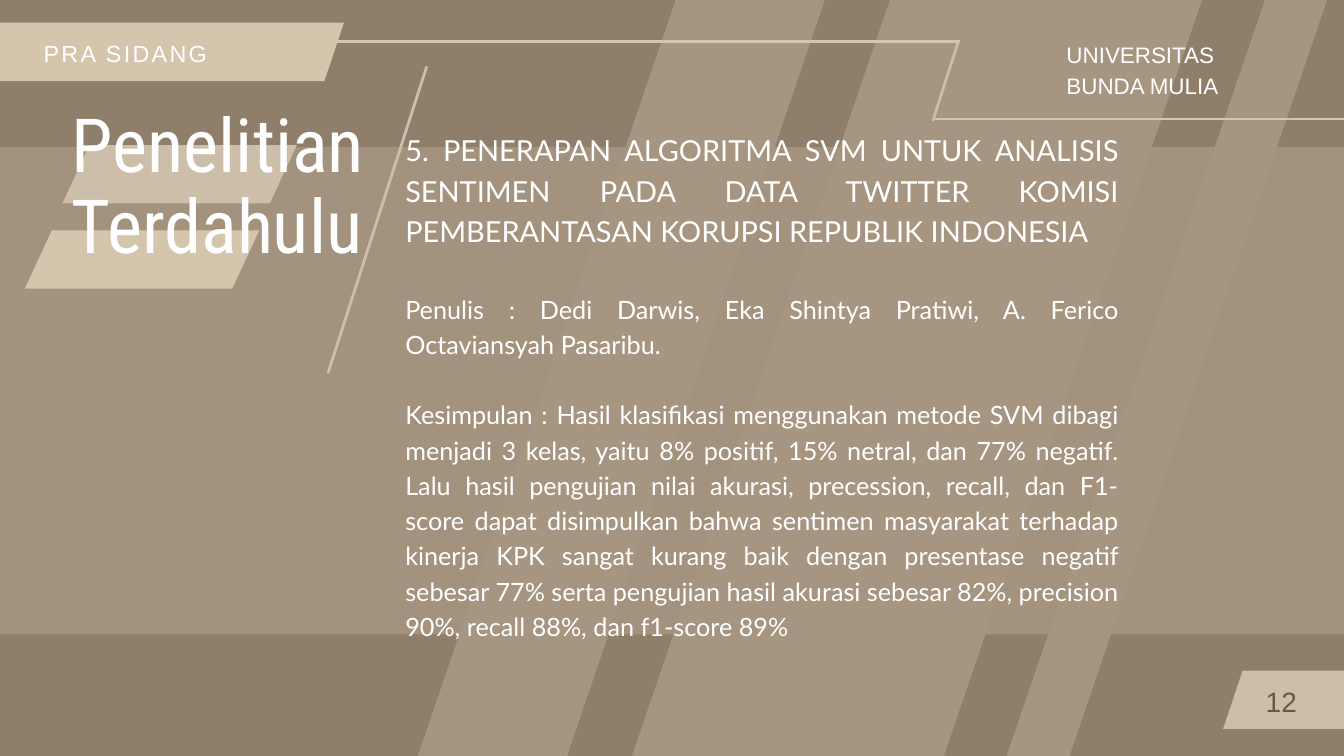
"""Build the slide on earlier research into SVM sentiment analysis."""
from lxml import etree
from pptx import Presentation
from pptx.dml.color import RGBColor
from pptx.enum.shapes import MSO_CONNECTOR
from pptx.enum.text import MSO_AUTO_SIZE, PP_ALIGN
from pptx.oxml.ns import qn
from pptx.util import Cm, Pt

STRAIGHT = MSO_CONNECTOR.STRAIGHT
NO_AUTOFIT = MSO_AUTO_SIZE.NONE
LEFT, RIGHT, JUSTIFY = PP_ALIGN.LEFT, PP_ALIGN.RIGHT, PP_ALIGN.JUSTIFY
WHITE, SAND, CREAM, TAUPE = "FFFFFF", "CDBEAA", "D5C5AC", "A69580"


def paint(color_format, hex_color):
    color_format.rgb = RGBColor.from_string(hex_color)


def add_text(left, top, width, height, font_name, hex_color, align, paragraphs):
    box = page.shapes.add_textbox(Cm(left), Cm(top), Cm(width), Cm(height))
    frame = box.text_frame
    frame.word_wrap = True
    frame.auto_size = NO_AUTOFIT
    frame.margin_left = frame.margin_top = frame.margin_right = frame.margin_bottom = 0
    for index, (text, size, line_height, gap) in enumerate(paragraphs):
        para = frame.paragraphs[0] if index == 0 else frame.add_paragraph()
        para.alignment = align
        para.line_spacing = Pt(line_height)
        if gap:
            para.space_before = Pt(gap)
        span = para.add_run()
        span.text = text
        span.font.name = font_name
        span.font.size = Pt(size)
        paint(span.font.color, hex_color)
    return box


deck = Presentation()
deck.slide_width, deck.slide_height = Cm(50.8), Cm(28.58)
page = deck.slides.add_slide(deck.slide_layouts[6])
page.background.fill.solid()
paint(page.background.fill.fore_color, "8F7F6A")

outlines = [
    ([(26.44, -2.64), (31.5, -0.94), (20.37, 31.7), (15.32, 29.97)], TAUPE, 100),
    ([(35.23, -4.67), (45.8, -1.07), (34.11, 33.17), (23.55, 29.57)], TAUPE, 100),
    ([(48.9, -3.18), (51, -2.46), (39.52, 31.24), (37.39, 30.51)], TAUPE, 100),
]
slanted_blocks = [
    (46.23, 25.35, 6.55, 2.21, 0.74, SAND, 100),
    (-1.12, 5.56, 53.04, 18.42, 0, TAUPE, 89),
    (0.94, 8.71, 8.86, 2.2, 1.02, CREAM, 100),
    (2.36, 5.49, 8.86, 2.2, 1.02, SAND, 100),
    (-1.6, 0.86, 14.6, 2.21, 0.74, CREAM, 100),
]
for left, top, width, height, slant, hex_color, opacity in slanted_blocks:
    right, bottom = left + width, top + height
    corners = [(left + slant, top), (right, top), (right - slant, bottom), (left, bottom)]
    outlines.append((corners, hex_color, opacity))

for corners, hex_color, opacity in outlines:
    points = [(Cm(x), Cm(y)) for x, y in corners]
    builder = page.shapes.build_freeform(*points[0])
    builder.add_line_segments(points[1:], close=True)
    shape = builder.convert_to_shape()
    shape.shadow.inherit = False
    shape.fill.solid()
    paint(shape.fill.fore_color, hex_color)
    shape.line.fill.background()
    if opacity < 100:
        color_node = shape.fill._xPr.find(qn("a:solidFill"))[0]
        etree.SubElement(color_node, qn("a:alpha")).set("val", str(opacity * 1000))

rules = [
    (12.4, 14.1, 16.13, 2.51, SAND),
    (12.34, 1.57, 36.27, 1.57, CREAM),
    (35.33, 4.5, 51.77, 4.5, CREAM),
    (35.26, 4.57, 36.22, 1.57, SAND),
]
for start_x, start_y, end_x, end_y, hex_color in rules:
    rule = page.shapes.add_connector(
        STRAIGHT, Cm(start_x), Cm(start_y), Cm(end_x), Cm(end_y))
    rule.line.width = Pt(3)
    paint(rule.line.color, hex_color)
    etree.SubElement(rule._element.spPr, qn("a:effectLst"))

add_text(2.72, 4.04, 12.62, 6.22, "Roboto Condensed", WHITE, LEFT,
         [("Penelitian Terdahulu", 80, 86.4, 0)])
add_text(15.32, 4.8, 26.95, 19.25, "Lato", WHITE, JUSTIFY, [
    ("5. PENERAPAN ALGORITMA SVM UNTUK ANALISIS SENTIMEN PADA DATA TWITTER "
     "KOMISI PEMBERANTASAN KORUPSI REPUBLIK INDONESIA", 31, 43.4, 0),
    ("Penulis : Dedi Darwis, Eka Shintya Pratiwi, A. Ferico Octaviansyah Pasaribu.",
     27, 37.8, 43.4),
    ("Kesimpulan : Hasil klasifikasi menggunakan metode SVM dibagi menjadi 3 kelas, "
     "yaitu 8% positif, 15% netral, dan 77% negatif. Lalu hasil pengujian nilai akurasi, "
     "precession, recall, dan F1- score dapat disimpulkan bahwa sentimen masyarakat "
     "terhadap kinerja KPK sangat kurang baik dengan presentase negatif sebesar 77% "
     "serta pengujian hasil akurasi sebesar 82%, precision 90%, recall 88%, dan "
     "f1-score 89%", 27, 37.8, 37.8),
])
add_text(45.29, 25.65, 3.73, 1.45, "Arial", "695941", RIGHT, [("12", 30, 42, 0)])
label = add_text(1.65, 1.3, 13.31, 1.19, "Arial", WHITE, LEFT,
                 [("PRA SIDANG", 25, 35, 0)])
label.text_frame.paragraphs[0].runs[0].font._element.set("spc", "250")
add_text(40.31, 1.37, 9.53, 2.29, "Arial", WHITE, JUSTIFY,
         [("UNIVERSITAS", 24, 33.6, 0), ("BUNDA MULIA", 24, 33.6, 0)])

deck.save("out.pptx")
